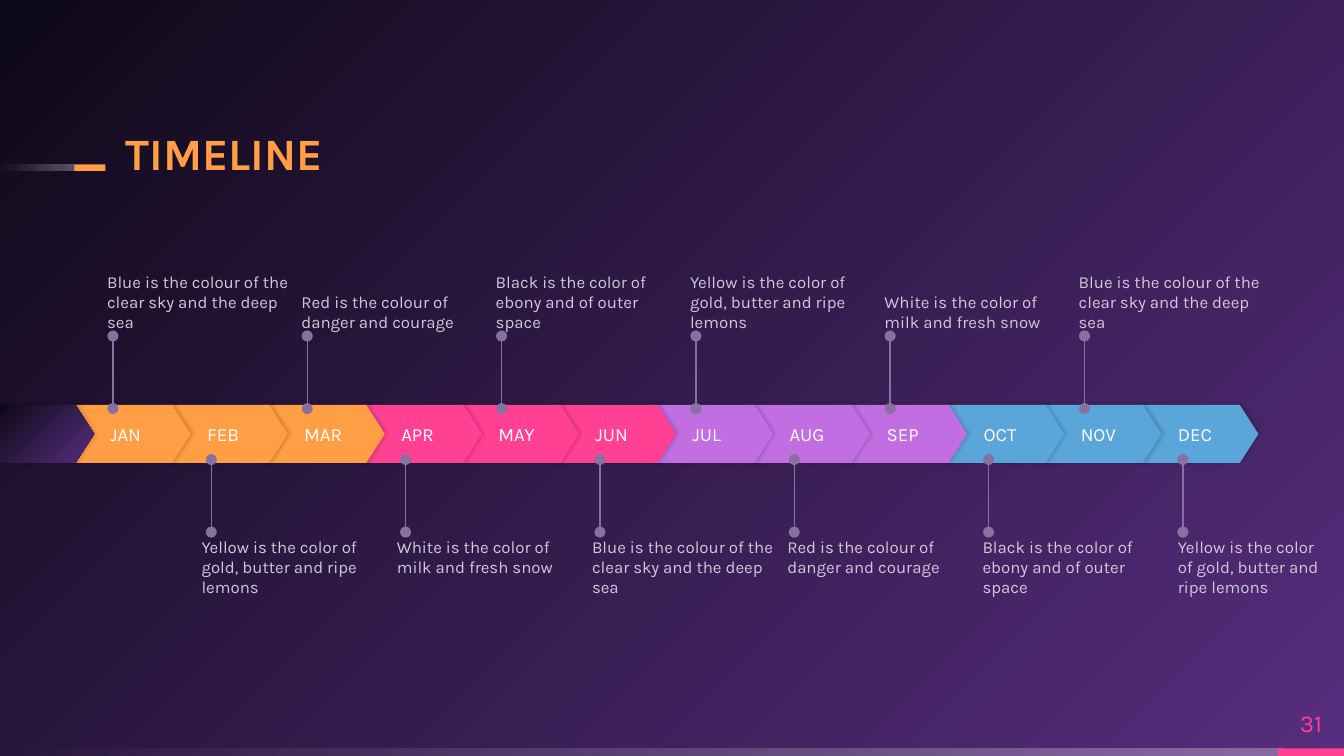
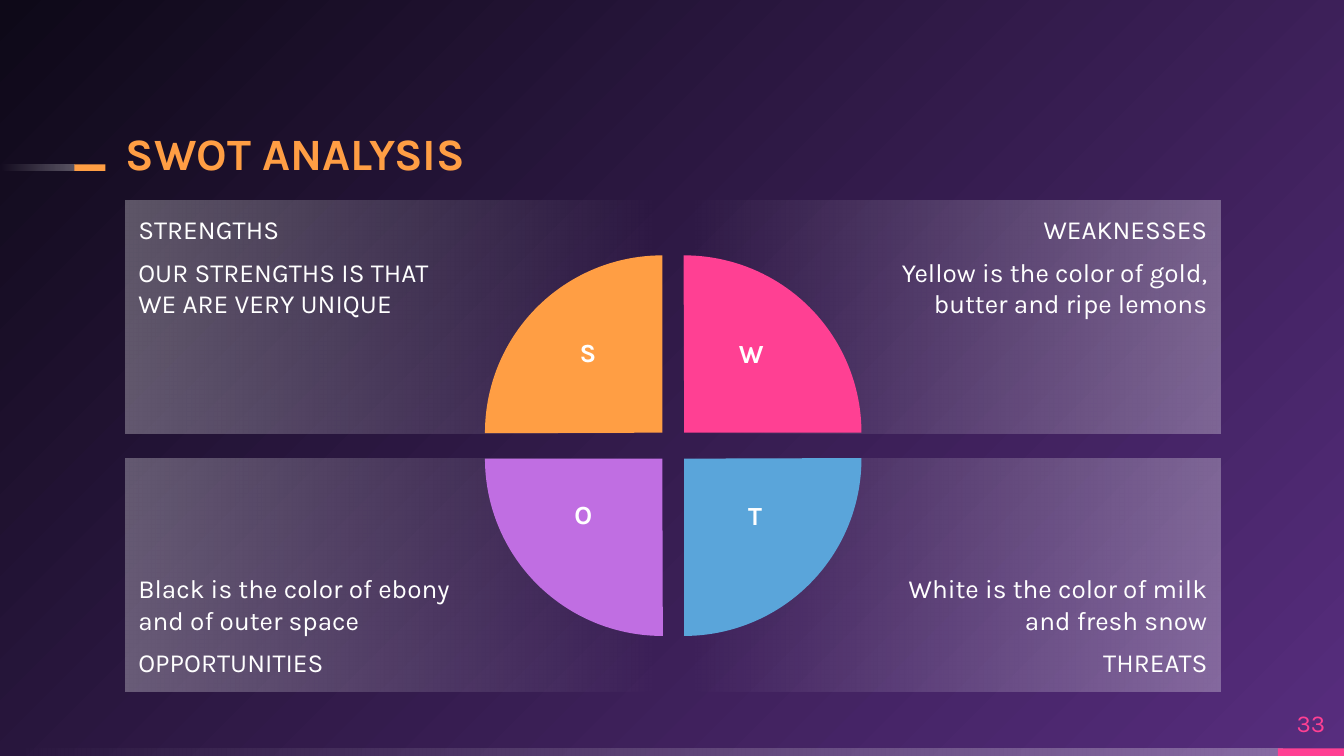
from lxml import etree
from pptx import Presentation
from pptx import util as u
from pptx.dml import color
from pptx.enum import shapes, text
from pptx.oxml import ns

ORANGE, PINK, PURPLE, BLUE = "FF9E44", "FF4093", "C06EE2", "5AA5DA"
NIGHT, VIOLET, MAUVE, LILAC, WHITE = "0E0918", "572D7E", "8870A0", "D1C8DA", "FFFFFF"
FONT = "Karla"
VEIL = ((0, WHITE, 30), (100, WHITE, 0))
LEFT, CENTER, RIGHT = text.PP_ALIGN.LEFT, text.PP_ALIGN.CENTER, text.PP_ALIGN.RIGHT
TOP, MIDDLE, BOTTOM = text.MSO_ANCHOR.TOP, text.MSO_ANCHOR.MIDDLE, text.MSO_ANCHOR.BOTTOM
KIND = shapes.MSO_SHAPE

BLUE_TEXT = "Blue is the colour of the clear sky and the deep sea"
RED_TEXT = "Red is the colour of danger and courage"
BLACK_TEXT = "Black is the color of ebony and of outer space"
YELLOW_TEXT = "Yellow is the color of gold, butter and ripe lemons"
WHITE_TEXT = "White is the color of milk and fresh snow"


def rgb(value):
    return color.RGBColor.from_string(value)


def put(obj, values):
    for name, value in values.items():
        setattr(obj, name, value)


def node(parent, tag, **attrs):
    return etree.SubElement(parent, ns.qn(tag), {k: str(v) for k, v in attrs.items()})


def tint(parent, value, alpha):
    node(node(parent, "a:srgbClr", val=rgb(value)), "a:alpha", val=alpha * 1000)


class Deck:
    """Holds the presentation, its style and the slide being drawn."""

    def __init__(self):
        self.prs = Presentation()
        put(self.prs, {"slide_width": u.Pt(720), "slide_height": u.Pt(405)})

    def slide(self, title, number):
        self.s = self.prs.slides.add_slide(self.prs.slide_layouts[6])
        self.s.background.fill.solid()
        self.gradient(self.s, ((0, VIOLET, 100), (100, NIGHT, 100)))
        self.shape(KIND.RECTANGLE, (0, 401, 687, 4), (180, VEIL))
        self.shape(KIND.RECTANGLE, (684.6, 401, 35.4, 4), PINK)
        self.shape(KIND.RECTANGLE, (0, 88.1, 40, 3.5), (180, VEIL))
        self.shape(KIND.RECTANGLE, (39.8, 88.1, 16.7, 3.5), ORANGE)
        self.textbox((67.4, 65.5, 417.6, 31), title, 24, ORANGE, bold=True,
                     anchor=BOTTOM, para={"line_spacing": 0.9})
        self.textbox((684.6, 373.7, 35.4, 27.3), number, 13, PINK,
                     align=CENTER, anchor=MIDDLE)

    def gradient(self, owner, stops, angle=None):
        old = owner.element.find(".//" + ns.qn("a:solidFill"))
        new = etree.Element(ns.qn("a:gradFill"), rotWithShape="1")
        stop_list = node(new, "a:gsLst")
        for pos, value, alpha in stops:
            tint(node(stop_list, "a:gs", pos=pos * 1000), value, alpha)
        if angle is None:
            circle = node(new, "a:path", **{"path": "circle"})
            node(circle, "a:fillToRect", l=100000, t=100000)
        else:
            node(new, "a:lin", ang=angle * 60000, scaled=0)
        old.getparent().replace(old, new)

    def shape(self, kind, box, fill, adj=(), rotation=0, shadow=False):
        sp = self.s.shapes.add_shape(kind, *map(u.Pt, box))
        put(sp, {"rotation": rotation})
        for i, value in enumerate(adj):
            sp.adjustments[i] = value
        sp.fill.solid()
        sp.line.fill.background()
        sp.shadow.inherit = False
        if isinstance(fill, str):
            sp.fill.fore_color.rgb = rgb(fill)
        else:
            self.gradient(sp, fill[1], fill[0])
        if shadow:
            effects = sp.element.find(".//" + ns.qn("a:effectLst"))
            outer = node(effects, "a:outerShdw", blurRad=u.Pt(2.2), dist=u.Pt(0.8),
                         dir=0, algn="bl", rotWithShape=0)
            tint(outer, "000000", 20)
        return sp

    def label(self, sp, lines, size, value, bold=False, align=LEFT, anchor=TOP,
              insets=(0, 0, 0, 0), para=None):
        tf = sp.text_frame
        sides = ("margin_left", "margin_top", "margin_right", "margin_bottom")
        put(tf, {"word_wrap": True, "vertical_anchor": anchor,
                 **dict(zip(sides, map(u.Pt, insets)))})
        for i, line in enumerate(lines):
            p = tf.add_paragraph() if i else tf.paragraphs[0]
            put(p, {"alignment": align, **(para or {})})
            if i:
                put(p, {"space_before": u.Pt(6), "space_after": u.Pt(6)})
            r = p.add_run()
            r.text = line
            put(r.font, {"name": FONT, "size": u.Pt(size), "bold": bold})
            r.font.color.rgb = rgb(value)

    def textbox(self, box, line, size, value, **style):
        sp = self.s.shapes.add_textbox(*map(u.Pt, box))
        self.label(sp, [line], size, value, **style)

    def pin(self, x, y1, y2):
        ends = map(u.Pt, (x, y1, x, y2))
        cx = self.s.shapes.add_connector(shapes.MSO_CONNECTOR.STRAIGHT, *ends)
        cx.line.width = u.Pt(0.75)
        cx.line.color.rgb = rgb(MAUVE)
        ln = cx.element.spPr.find(ns.qn("a:ln"))
        for tag in ("a:headEnd", "a:tailEnd"):
            node(ln, tag, type="oval")
        node(cx.element.spPr, "a:effectLst")


def timeline(deck):
    deck.slide("TIMELINE", "31")
    months = "JAN FEB MAR APR MAY JUN JUL AUG SEP OCT NOV DEC".split()
    quarters = (ORANGE, PINK, PURPLE, BLUE)
    arrow = {"adj": [0.32], "shadow": True}
    for i, month in reversed(list(enumerate(months))):
        sp = deck.shape(KIND.PENTAGON, (37.4 + 52 * i, 217, 64.8, 31),
                        quarters[i // 3], **arrow)
        deck.label(sp, [month], 10, WHITE, anchor=MIDDLE, insets=(21.6, 0, 0, 0))
    deck.shape(KIND.PENTAGON, (0, 217, 50.4, 31),
               (45, ((0, NIGHT, 100), (100, VIOLET, 100))), **arrow)

    above = (BLUE_TEXT, RED_TEXT, BLACK_TEXT, YELLOW_TEXT, WHITE_TEXT, BLUE_TEXT)
    for i, note in enumerate(above):
        deck.pin(60.5 + 104.1 * i, 218.9, 180)
        deck.textbox((57.4 + 104.1 * i, 136, 98.6, 42), note, 9, LILAC, anchor=BOTTOM)

    below = (YELLOW_TEXT, WHITE_TEXT, BLUE_TEXT, RED_TEXT, BLACK_TEXT, YELLOW_TEXT)
    widths = (98.6,) * 5 + (81.4,)
    for i, (note, width) in enumerate(zip(below, widths)):
        deck.pin(113.2 + 104.1 * i, 285.1, 246.2)
        deck.textbox((108 + 104.6 * i, 287.3, width, 42), note, 9, LILAC)


def swot(deck):
    deck.slide("SWOT ANALYSIS", "33")
    panels = (
        (0, 0, ("STRENGTHS", "OUR STRENGTHS IS THAT WE ARE VERY UNIQUE")),
        (1, 0, ("WEAKNESSES", YELLOW_TEXT)),
        (0, 1, (BLACK_TEXT, "OPPORTUNITIES")),
        (1, 1, (WHITE_TEXT, "THREATS")),
    )
    for col, row, lines in panels:
        box = (67 + 299.6 * col, 107.2 + 138.3 * row, 287.4, 125)
        sp = deck.shape(KIND.RECTANGLE, box, (180 * col, VEIL))
        deck.label(sp, lines, 14, WHITE, align=(LEFT, RIGHT)[col],
                   anchor=(TOP, BOTTOM)[row],
                   insets=((7.2, 7.2, 108, 7.2), (108, 7.2, 7.2, 7.2))[col])

    wedges = ((0, 0, ORANGE), (1, 0, PINK), (1, 1, BLUE), (0, 1, PURPLE))
    for i, (col, row, fill) in enumerate(wedges):
        deck.shape(KIND.PIE, (259.8 + 11.7 * col, 136.8 + 13.9 * row, 190, 190), fill,
                   adj=(107.89, 162), rotation=90 * i)

    letters = (
        ("S", (302.4, 176.4, 25.2, 34.6)),
        ("W", (382.3, 177, 40.3, 33.8)),
        ("O", (299.5, 263.4, 25.9, 35.3)),
        ("T", (391.6, 264.2, 25.9, 33.8)),
    )
    for letter, box in letters:
        deck.textbox(box, letter, 14, WHITE, bold=True, align=CENTER,
                     insets=(7.2, 3.6, 7.2, 3.6))


def main():
    deck = Deck()
    timeline(deck)
    swot(deck)
    deck.prs.save("out.pptx")


if __name__ == "__main__":
    main()
